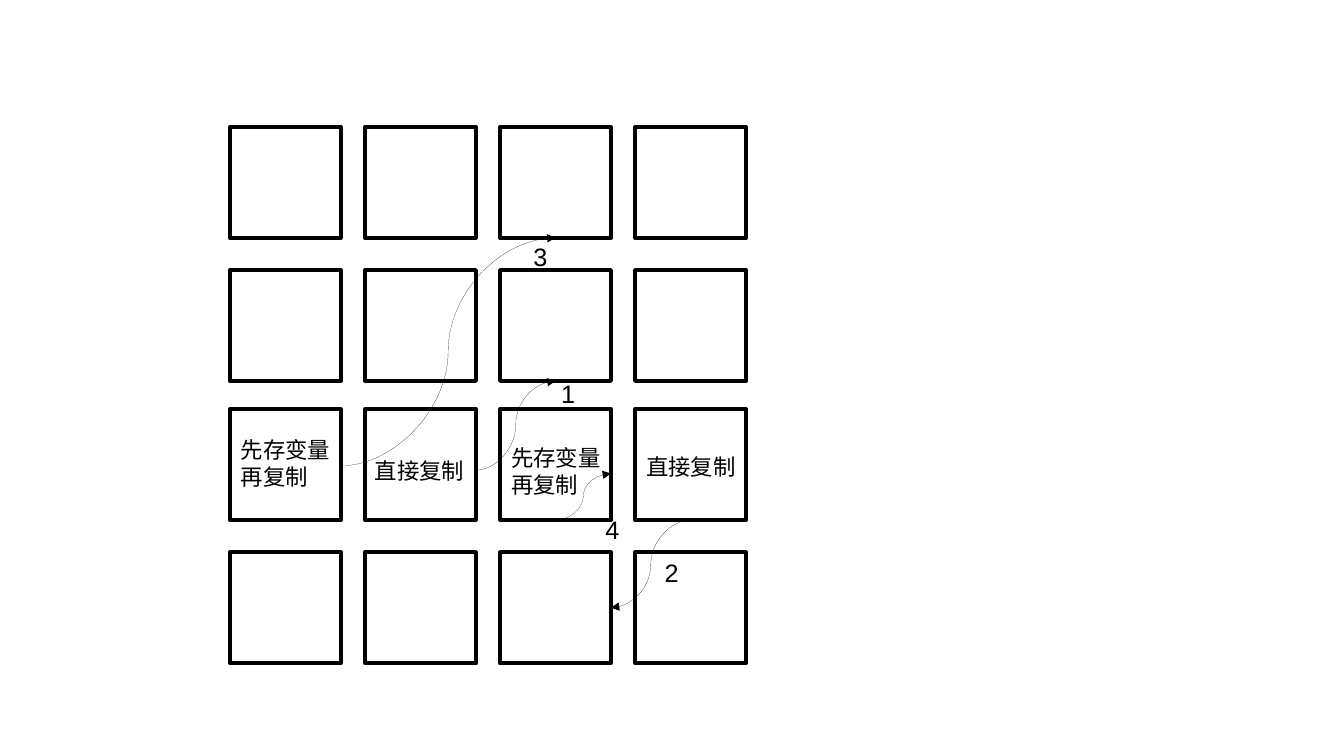
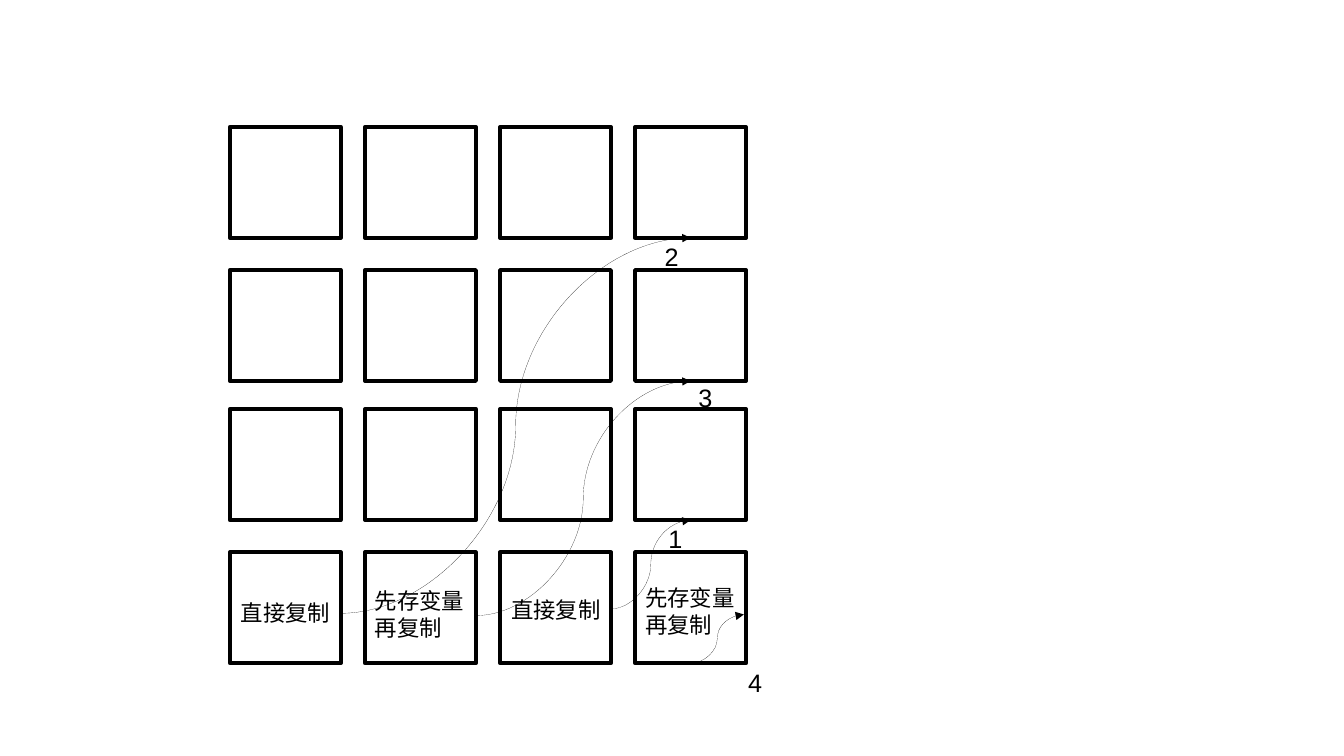
from lxml import etree
from pptx import Presentation, util as u
from pptx.dml.color import RGBColor
from pptx.enum import shapes, text
from pptx.oxml.ns import qn

INK = "000000"
FONT = "Arial"
BOX = 1.1
COLUMN_LEFTS = [2.28 + 1.34 * column for column in range(4)]
ROW_TOPS = [1.26, 2.68, 4.06, 5.48]

DIRECT = "直接复制"
VIA_VARIABLE = "先存变量\n再复制"
# Width, height and font size of each kind of caption
CAPTION_SIZES = {DIRECT: (BOX, 0.36, 16), VIA_VARIABLE: (BOX, 0.68, 16)}
STEP_SIZE = (0.34, 0.33, 18)
NARROW_STEP_SIZE = (0.16, 0.33, 18)

# Every place is (column, row, share across the box, share down the box)
STAGES = [
    {
        "captions": [
            (VIA_VARIABLE, (0, 2, 0.01, 0.2)),
            (VIA_VARIABLE, (2, 2, 0.01, 0.27)),
            ("1", (2, 2, 0.46, -0.32)),
            ("2", (3, 3, 0.21, 0)),
            ("3", (2, 0, 0.21, 0.99)),
            ("4", (2, 2, 0.86, 0.9)),
            (DIRECT, (1, 2, 0, 0.39)),
            (DIRECT, (3, 2, 0.01, 0.35)),
        ],
        "moves": [
            ((1, 2, 1, 0.55), (2, 1, 0.5, 1)),
            ((3, 2, 0.5, 1), (2, 3, 1, 0.5)),
            ((0, 2, 1, 0.51), (2, 0, 0.5, 1)),
            ((2, 2, 0.5, 1), (2, 2, 1, 0.58)),
        ],
    },
    {
        "captions": [
            (VIA_VARIABLE, (1, 3, 0, 0.27)),
            (VIA_VARIABLE, (3, 3, 0, 0.24)),
            ("1", (3, 3, 0.21, -0.31)),
            ("2", (3, 0, 0.21, 0.99)),
            ("3", (3, 1, 0.48, 0.97)),
            ("4", (3, 3, 0.93, 0.99)),
            (DIRECT, (0, 3, 0.01, 0.38)),
            (DIRECT, (2, 3, 0.01, 0.35)),
        ],
        "moves": [
            ((2, 3, 1, 0.51), (3, 2, 0.5, 1)),
            ((0, 3, 1, 0.55), (3, 0, 0.5, 1)),
            ((1, 3, 1, 0.57), (3, 1, 0.5, 1)),
            ((3, 3, 0.5, 1), (3, 3, 0.98, 0.56)),
        ],
    },
]


def paint(color_format, color):
    color_format.rgb = RGBColor.from_string(color)


def spot(column, row, across, down):
    """Turn a place on the grid of boxes into slide lengths."""
    return (u.Inches(COLUMN_LEFTS[column] + across * BOX),
            u.Inches(ROW_TOPS[row] + down * BOX))


deck = Presentation()
deck.slide_width, deck.slide_height = u.Inches(13.33), u.Inches(7.5)

for stage in STAGES:
    slide = deck.slides.add_slide(deck.slide_layouts[6])

    for row in range(4):
        for column in range(4):
            box = slide.shapes.add_shape(
                shapes.MSO_SHAPE.RECTANGLE, *spot(column, row, 0, 0),
                u.Inches(BOX), u.Inches(BOX))
            box.shadow.inherit = False
            box.fill.background()
            box.line.width = u.Pt(2.83)
            paint(box.line.color, INK)

    for wording, place in stage["captions"]:
        step_size = NARROW_STEP_SIZE if wording == "2" else STEP_SIZE
        width, height, size = CAPTION_SIZES.get(wording, step_size)
        caption = slide.shapes.add_textbox(
            *spot(*place), u.Inches(width), u.Inches(height)).text_frame
        caption.word_wrap = True
        caption.vertical_anchor = text.MSO_ANCHOR.TOP
        caption.text = wording
        for paragraph in caption.paragraphs:
            paragraph.font.name = FONT
            paragraph.font.size = u.Pt(size)
            paint(paragraph.font.color, INK)

    for source, target in stage["moves"]:
        arrow = slide.shapes.add_connector(
            shapes.MSO_CONNECTOR.CURVE, *spot(*source), *spot(*target))
        # Without the theme style the line is a hairline with no shadow
        arrow.element.remove(arrow.element.find(qn("p:style")))
        paint(arrow.line.color, INK)
        etree.SubElement(arrow.get_or_add_ln(), qn("a:tailEnd"), type="triangle")

deck.save("out.pptx")
